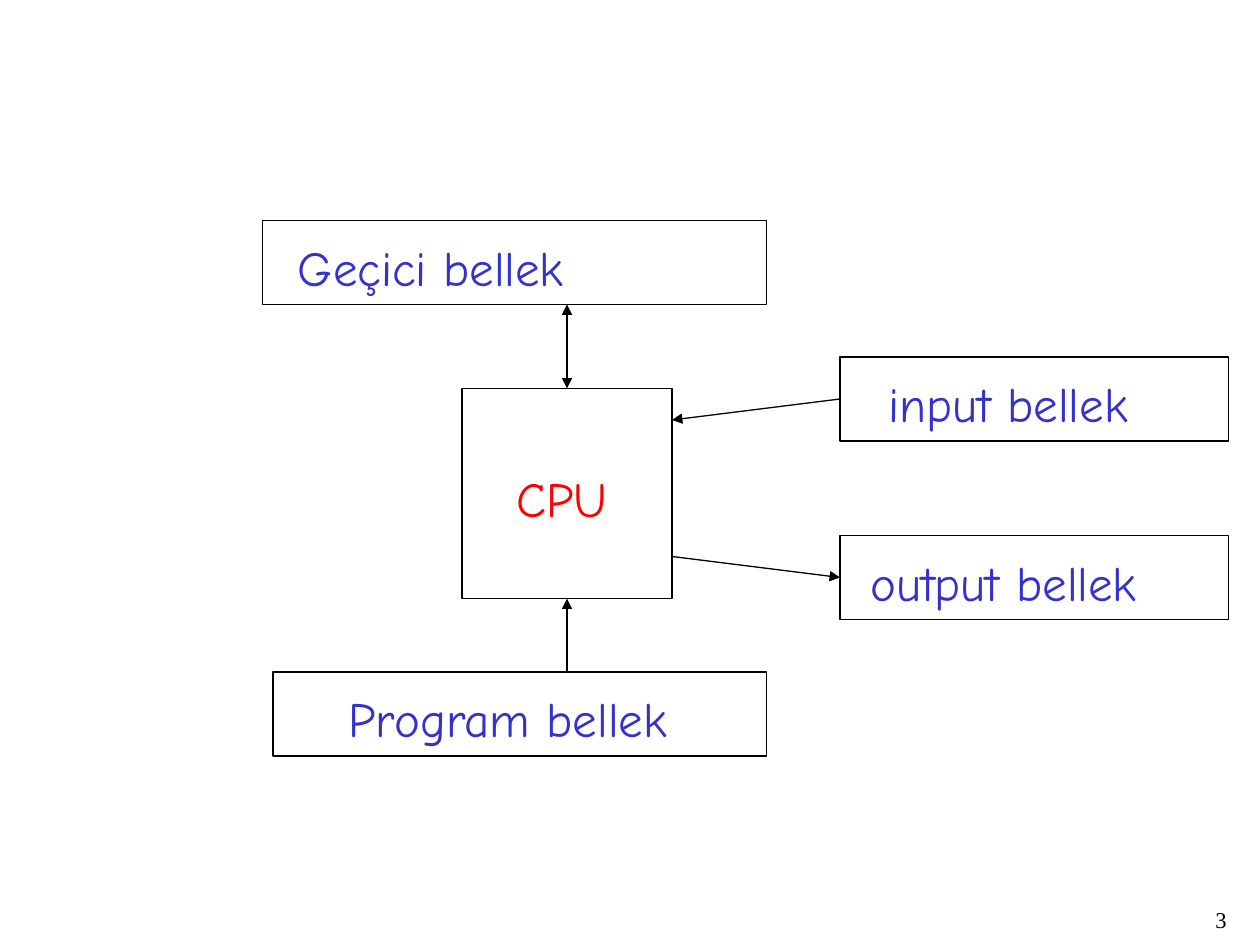
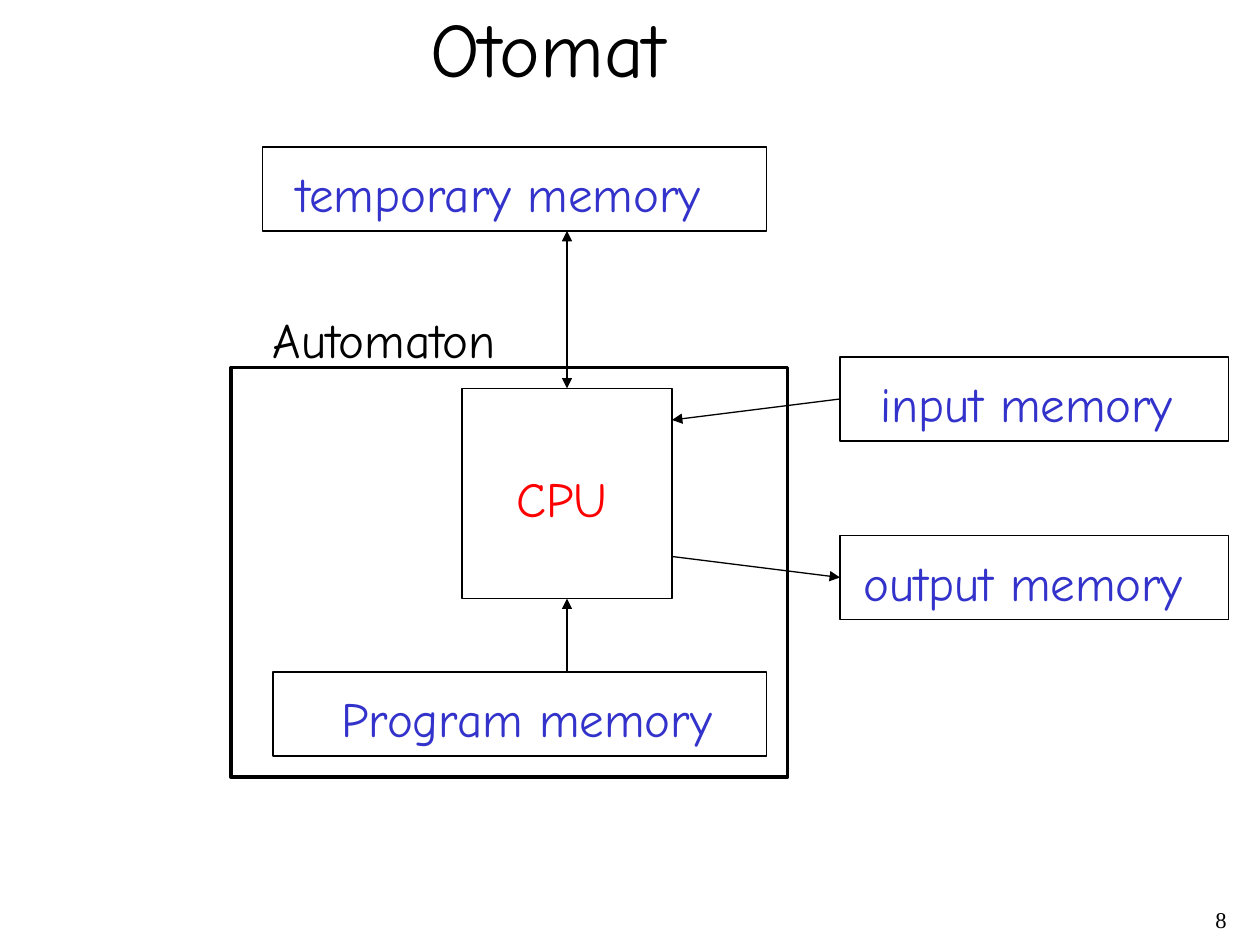
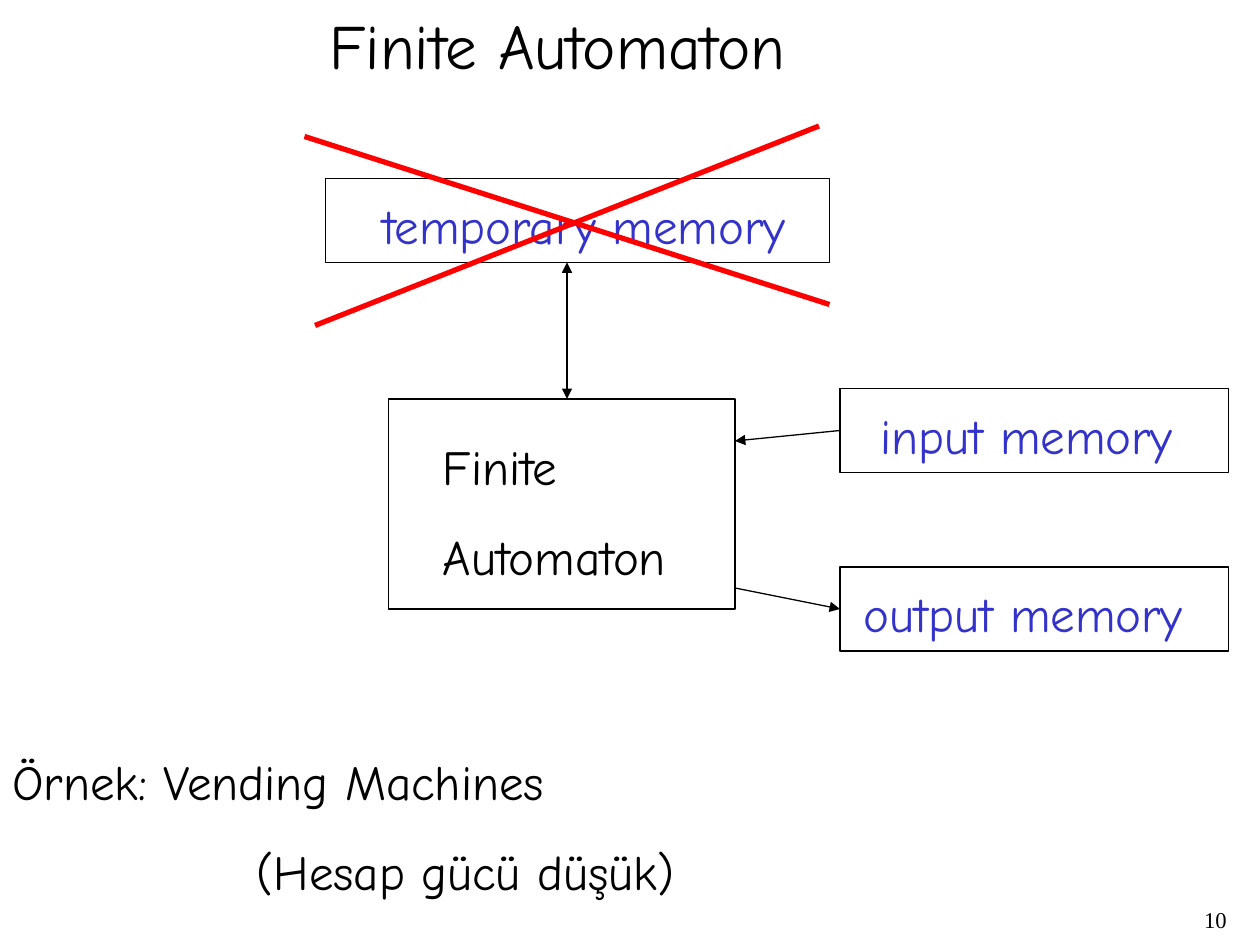
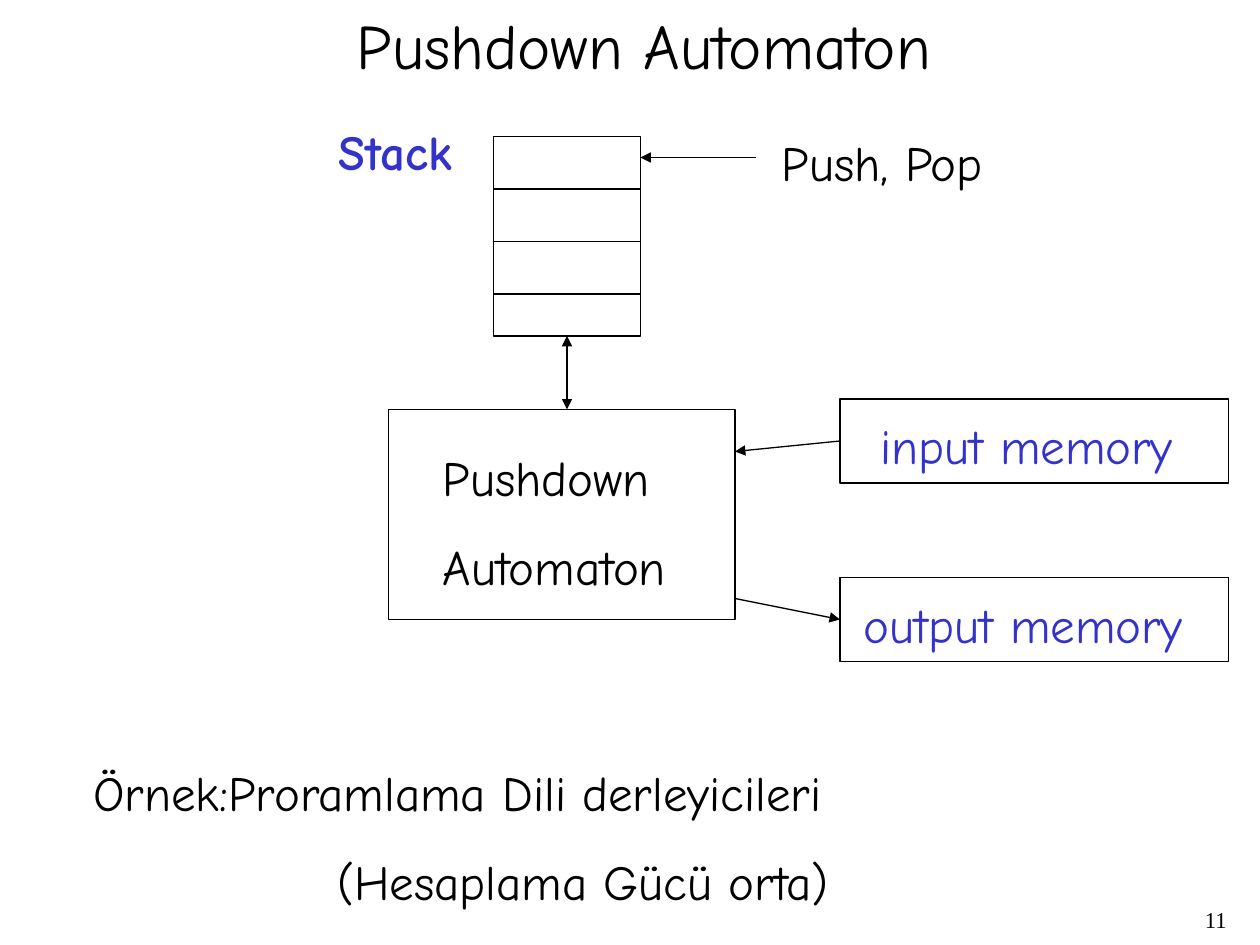
from pptx import Presentation, util as u
from pptx.dml.color import RGBColor
from pptx.enum import shapes, text
from pptx.oxml.ns import qn
from lxml import etree

# The page is a grid of 120 columns by 90 rows, twelve to the inch.
CELL = u.Inches(1) // 12
BLACK, BLUE, RED = "000000", "3333CC", "FF0000"
HAND, SERIF = "Comic Neue", "Times New Roman"
THIN, FRAME, CROSS = 0.75, 2, 3
BODY = 28
MEMORY_HEIGHT = 8
MEMORY_LEFT, MEMORY_WIDTH = 80, 37
AXIS = 54  # column of the vertical arrows
EXAMPLE_INDENT = u.Inches(1.94)


def cells(*values):
    return [round(value * CELL) for value in values]


def color(hex_string):
    return RGBColor.from_string(hex_string)


def add_span(para, words, size, font, ink, bold=False):
    span = para.add_run()
    span.text = words
    span.font.size = u.Pt(size)
    span.font.name = font
    span.font.bold = bold
    span.font.color.rgb = color(ink)


def add_label(page, lines, left, top, width, ink=BLACK, size=BODY, bold=False, indent=0):
    """Unwrapped text; the indent applies to every line after the first."""
    before = size * 0.625
    height = (len(lines) * size * 1.2 + (len(lines) - 1) * before) / 6 + 1.2
    frame = page.shapes.add_textbox(*cells(left, top, width, height)).text_frame
    frame.word_wrap = False
    frame.auto_size = text.MSO_AUTO_SIZE.SHAPE_TO_FIT_TEXT
    for index, words in enumerate(lines):
        para = frame.add_paragraph() if index else frame.paragraphs[0]
        para.space_before = u.Pt(before)
        if index and indent:
            para._p.get_or_add_pPr().set("marL", str(indent))
        add_span(para, words, size, HAND, ink, bold)


def add_outline(page, left, top, width, height, weight=THIN):
    box = page.shapes.add_shape(shapes.MSO_SHAPE.RECTANGLE, *cells(left, top, width, height))
    box.shadow.inherit = False
    box.fill.background()
    box.line.color.rgb = color(BLACK)
    box.line.width = u.Pt(weight)


def add_line(page, start, end, ink=BLACK, weight=THIN, heads=()):
    """Heads names the ends that carry a triangle: headEnd (start), tailEnd (end)."""
    line = page.shapes.add_connector(shapes.MSO_CONNECTOR.STRAIGHT, *cells(*start, *end))
    line.line.color.rgb = color(ink)
    line.line.width = u.Pt(weight)
    for head in heads:
        etree.SubElement(line.line._get_or_add_ln(), qn(f"a:{head}"), type="triangle")
    etree.SubElement(line._element.spPr, qn("a:effectLst"))


def add_memory(page, left, top, width, words, inset, label_width):
    add_outline(page, left, top, width, MEMORY_HEIGHT)
    add_label(page, [words], left + inset, top + 1, label_width, BLUE)


def add_input_output(page, top, right, entry, leave, labels):
    """Input and output memories, linked to the processor's right side."""
    tops = top, top + 17
    for memory_top, label in zip(tops, labels):
        add_memory(page, MEMORY_LEFT, memory_top, MEMORY_WIDTH, *label)
    middles = [memory_top + MEMORY_HEIGHT / 2 for memory_top in tops]
    add_line(page, (right, entry), (MEMORY_LEFT, middles[0]), heads=["headEnd"])
    add_line(page, (right, leave), (MEMORY_LEFT, middles[1]), heads=["tailEnd"])


def add_two_way(page, top, bottom):
    add_line(page, (AXIS, top), (AXIS, bottom), heads=["headEnd", "tailEnd"])


def add_computer(page, temporary_top, temporary, program, input_output):
    """CPU with its temporary, program, input and output memories."""
    left, top, side = 44, 37, 20
    bottom, program_top = top + side, 64
    add_outline(page, left, top, side, side)
    add_label(page, ["CPU"], left + 4, top + 7, 11.4, RED)
    add_memory(page, 25, temporary_top, 48, *temporary)
    add_memory(page, 26, program_top, 47, *program)
    add_two_way(page, temporary_top + MEMORY_HEIGHT, top)
    add_input_output(page, top - 3, left + side, top + 3, top + 16, input_output)
    add_line(page, (AXIS, bottom), (AXIS, program_top), heads=["headEnd"])


def add_automaton(page, top, store_bottom, name):
    """Automaton box, linked to the store above and the memories beside it."""
    left, width, height = 37, 33, 20
    add_outline(page, left, top, width, height)
    add_label(page, [name, "Automaton"], left + 4, top + 3, 24.1)
    add_two_way(page, store_bottom, top)
    add_input_output(page, top - 1, left + width, top + 4, top + 18, MEMORY_LABELS)


def add_stack(page, left, top, width, height):
    right = left + width
    add_outline(page, left, top, width, height)
    for divider in range(top + 5, top + height, 5):
        add_line(page, (left, divider), (right, divider))
    add_label(page, ["Stack"], left - 15.9, top - 2, 13.4, BLUE, bold=True)
    add_line(page, (right + 11, top + 2), (right, top + 2), heads=["tailEnd"])
    add_label(page, ["Push, Pop"], right + 12.3, top - 1, 21.8)


def add_page(deck, number):
    page = deck.slides.add_slide(deck.slide_layouts[6])
    frame = page.shapes.add_textbox(*cells(93, 86, 25, 4)).text_frame
    frame.word_wrap = True
    para = frame.paragraphs[0]
    para.alignment = text.PP_ALIGN.RIGHT
    para.line_spacing = 0.9
    add_span(para, str(number), 12.9, SERIF, BLACK)
    return page


# Each label: words, inset from the memory's left side, width.
BELLEK_LABELS = [("input bellek", 3.4, 25.4), ("output bellek", 1.7, 28.1)]
MEMORY_LABELS = [("input memory", 2.7, 30.4), ("output memory", 1.1, 33)]


def build_computer(deck):
    page = add_page(deck, 3)
    add_computer(page, 21, ("Geçici bellek", 2.2, 28), ("Program bellek", 6, 33.1),
                 BELLEK_LABELS)


def build_otomat(deck):
    page = add_page(deck, 8)
    add_label(page, ["Otomat"], 39.8, -0.5, 25.3, size=44)
    add_computer(page, 14, ("temporary memory", 2.1, 41.2), ("Program memory", 5.3, 38.1),
                 MEMORY_LABELS)
    add_outline(page, 22, 35, 53, 39, FRAME)
    add_label(page, ["Automaton"], 24.8, 28.9, 24.1)


def build_finite(deck):
    page = add_page(deck, 10)
    add_label(page, ["Finite Automaton"], 30.2, 0, 46.4, size=36)
    add_memory(page, 31, 17, 48, "temporary memory", 4.2, 41.2)
    add_automaton(page, 38, 17 + MEMORY_HEIGHT, "Finite")
    add_line(page, (29, 13), (79, 29), RED, CROSS)
    add_line(page, (30, 31), (78, 12), RED, CROSS)
    add_label(page, ["Örnek: Vending Machines", "(Hesap gücü düşük)"], 0, 71, 65.7,
              indent=EXAMPLE_INDENT)


def build_pushdown(deck):
    page = add_page(deck, 11)
    add_label(page, ["Pushdown Automaton"], 32.8, 0, 57.6, size=36)
    add_stack(page, 47, 13, 14, 19)
    add_automaton(page, 39, 32, "Pushdown")
    add_label(page, ["Örnek:Proramlama Dili derleyicileri", "(Hesaplama Gücü orta)"],
              7.7, 72, 75.1, indent=EXAMPLE_INDENT)


def main():
    deck = Presentation()
    deck.slide_width, deck.slide_height = cells(120, 90)
    for build in (build_computer, build_otomat, build_finite, build_pushdown):
        build(deck)
    deck.save("out.pptx")


if __name__ == "__main__":
    main()
